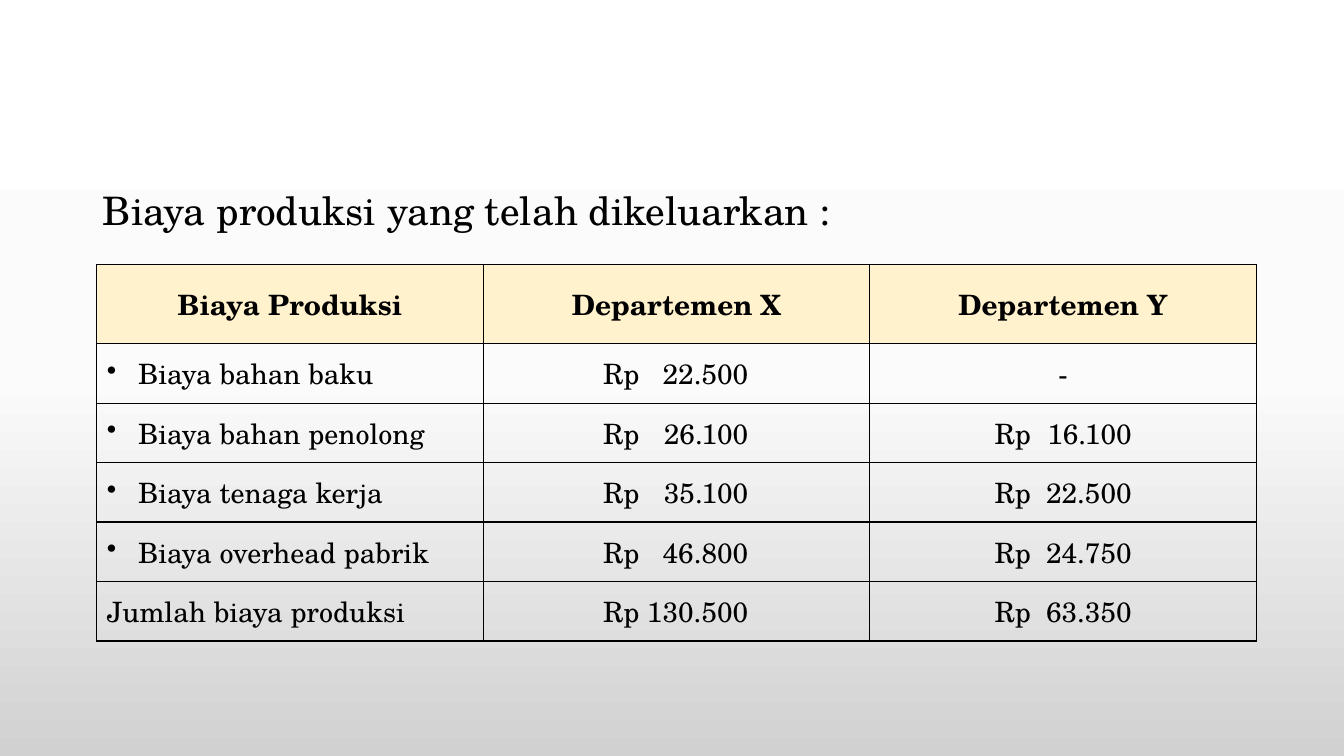
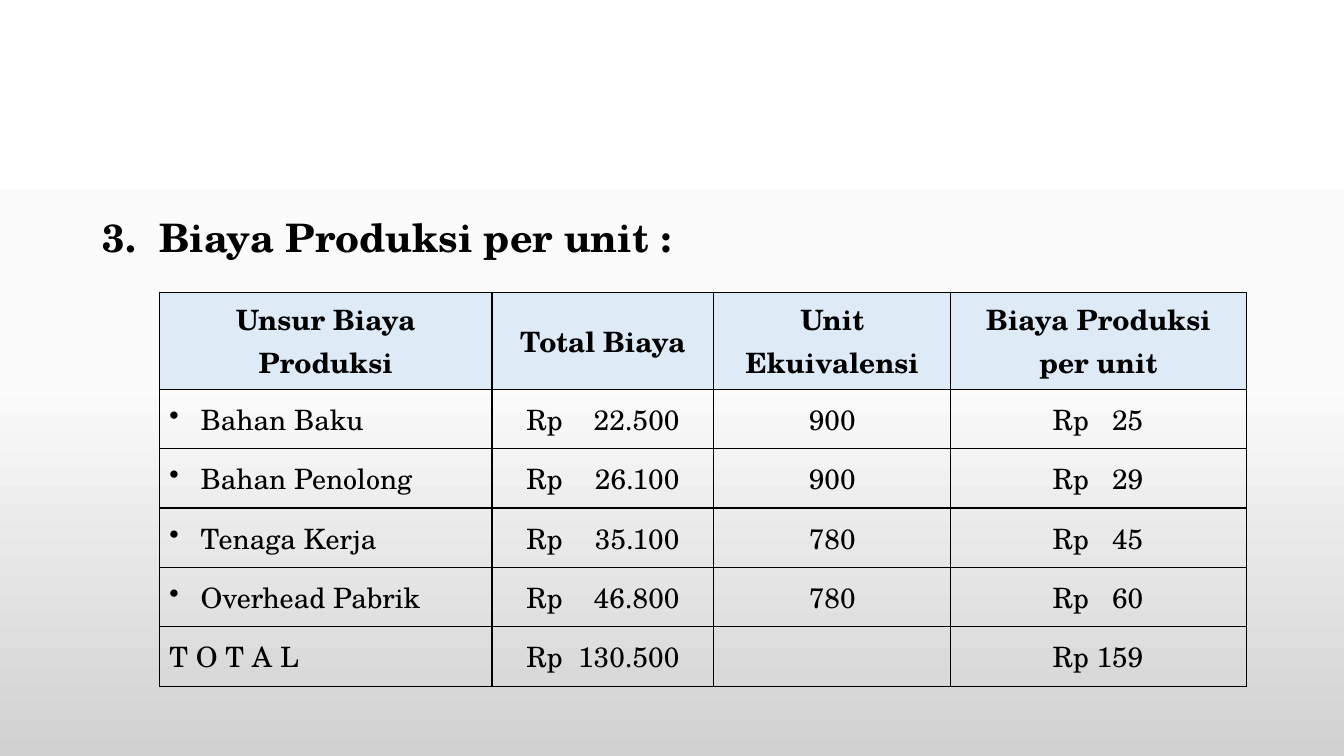
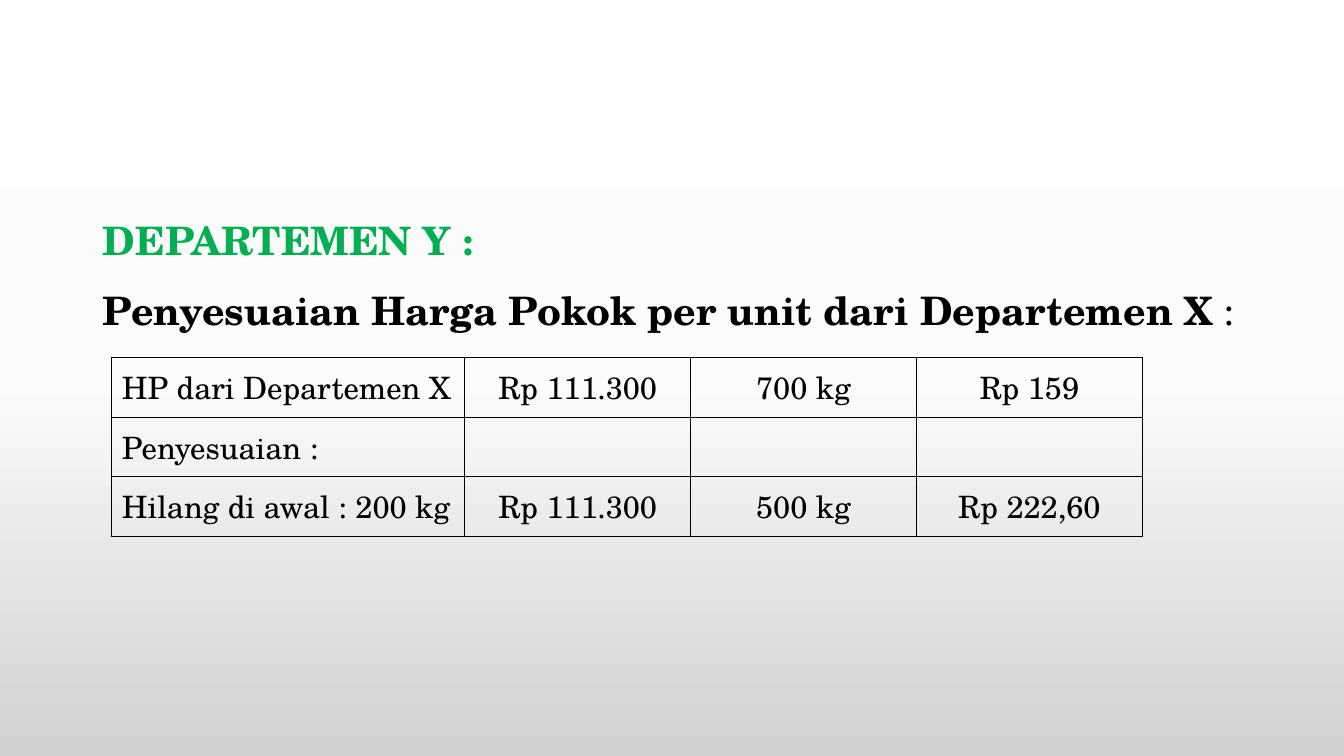
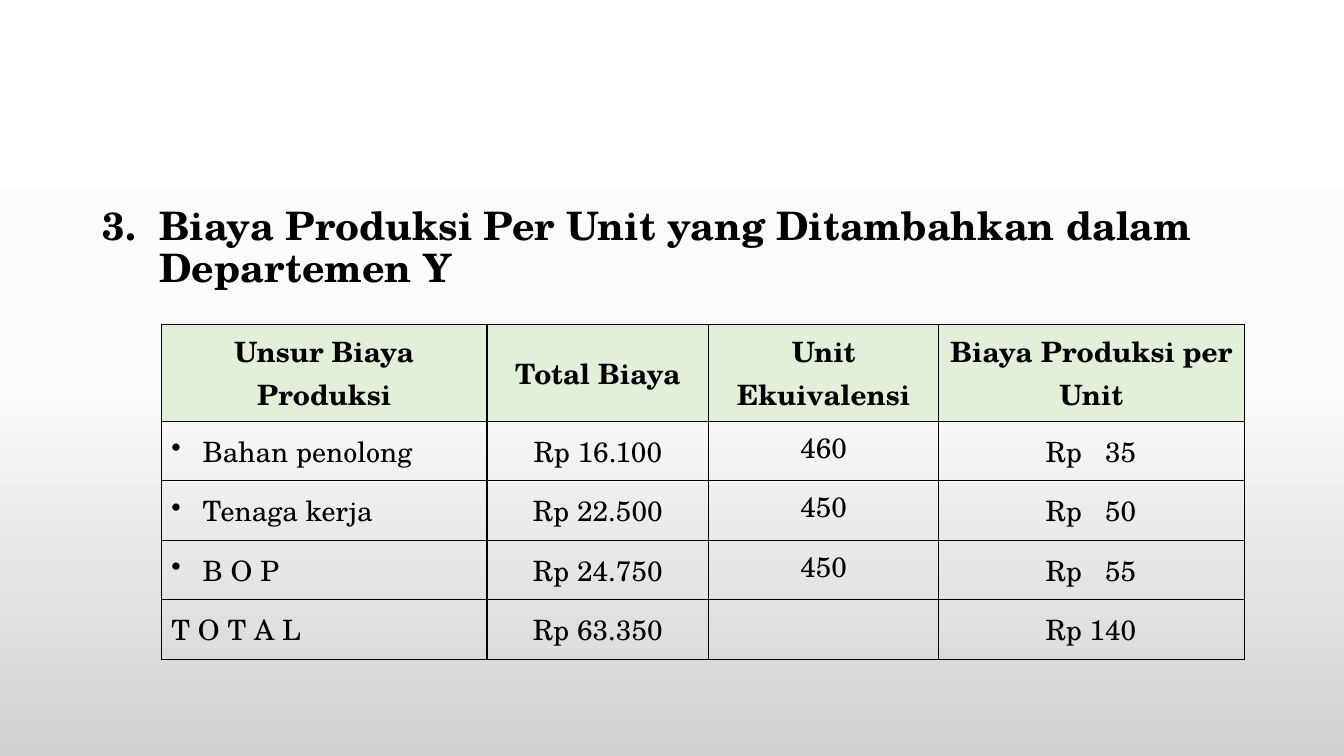
from copy import deepcopy

from pptx import Presentation
from pptx.dml.color import RGBColor
from pptx.enum import text as t
from pptx.oxml import parse_xml
from pptx.oxml.ns import nsdecls
from pptx.util import Inches, Pt

FONT = "TeX Gyre Schola"
BLACK = RGBColor(0x00, 0x00, 0x00)
GREEN = RGBColor(0x00, 0xB0, 0x50)
CREAM = RGBColor(0xFF, 0xF2, 0xCC)
PALE_BLUE = RGBColor(0xDE, 0xEB, 0xF7)
PALE_GREEN = RGBColor(0xE2, 0xF0, 0xD9)
BACKDROP = [
    (0, RGBColor(0xFF, 0xFF, 0xFF)),
    (0.5, RGBColor(0xFB, 0xFB, 0xFB)),
    (1, RGBColor(0xD1, 0xD1, 0xD1)),
]
HEADER_HEIGHT, ROW_HEIGHT = 0.79, 0.59
HEADING_LEFT, HEADING_WIDTH, HEADING_HEIGHT = 0.92, 11.5, 4.76

# heading: paragraphs of (text, colour, bold) runs; number: heading numeral
# rupiah: column -> (start of "Rp", right edge of the amount), from the column's left
# bulleted: body rows whose first cell has a bullet; top_column: cells set to the top
SLIDES = [
    {
        "heading": [[("Biaya produksi yang telah dikeluarkan :", BLACK, False)]],
        "heading_top": 1.85, "spacing": 0.9,
        "at": (0.96, 2.62), "columns": [11.5 / 3] * 3, "size": 20,
        "tint": CREAM,
        "header": ["Biaya Produksi", "Departemen X", "Departemen Y"],
        "rupiah": {1: (1.19, 2.63), 2: (1.24, 2.6)}, "bulleted": 4,
        "rows": [
            ["Biaya bahan baku", "Rp 22.500", "-"],
            ["Biaya bahan penolong", "Rp 26.100", "Rp 16.100"],
            ["Biaya tenaga kerja", "Rp 35.100", "Rp 22.500"],
            ["Biaya overhead pabrik", "Rp 46.800", "Rp 24.750"],
            ["Jumlah biaya produksi", "Rp 130.500", "Rp 63.350"],
        ],
    },
    {
        "heading": [[("Biaya Produksi per unit :", BLACK, True)]],
        "heading_top": 2.12, "spacing": 0.9, "number": 3,
        "at": (1.58, 2.9), "columns": [3.3, 2.2, 2.35, 2.93], "size": 20,
        "tint": PALE_BLUE,
        "header": ["Unsur Biaya Produksi", "Total Biaya", "Unit Ekuivalensi",
                   "Biaya Produksi per unit"],
        "rupiah": {1: (0.34, 1.86), 3: (1.01, 1.91)}, "bulleted": 4,
        "rows": [
            ["Bahan Baku", "Rp 22.500", "900", "Rp 25"],
            ["Bahan Penolong", "Rp 26.100", "900", "Rp 29"],
            ["Tenaga Kerja", "Rp 35.100", "780", "Rp 45"],
            ["Overhead Pabrik", "Rp 46.800", "780", "Rp 60"],
            ["T O T A L", "Rp 130.500", "", "Rp 159"],
        ],
    },
    {
        "heading": [
            [("DEPARTEMEN Y :", GREEN, True)],
            [("Penyesuaian Harga Pokok per unit dari Departemen X", BLACK, True),
             (" :", BLACK, False)],
        ],
        "heading_top": 2, "spacing": 1.2,
        "at": (1.11, 3.55), "columns": [3.5] + [2.24] * 3, "size": 22,
        "rows": [
            ["HP dari Departemen X", "Rp 111.300", "700 kg", "Rp 159"],
            ["Penyesuaian :", "", "", ""],
            ["Hilang di awal : 200 kg", "Rp 111.300", "500 kg", "Rp 222,60"],
        ],
    },
    {
        "heading": [[("Biaya Produksi Per Unit yang Ditambahkan dalam Departemen Y",
                      BLACK, True)]],
        "heading_top": 2, "spacing": 0.9, "number": 3,
        "at": (1.6, 3.22), "columns": [3.23, 2.2, 2.28, 3.03], "size": 20,
        "tint": PALE_GREEN,
        "header": ["Unsur Biaya Produksi", "Total Biaya", "Unit Ekuivalensi",
                   "Biaya Produksi per Unit"],
        "rupiah": {3: (1.06, 1.96)}, "bulleted": 3, "top_column": 2,
        "rows": [
            ["Bahan penolong", "Rp 16.100", "460", "Rp 35"],
            ["Tenaga kerja", "Rp 22.500", "450", "Rp 50"],
            ["B O P", "Rp 24.750", "450", "Rp 55"],
            ["T O T A L", "Rp 63.350", "", "Rp 140"],
        ],
    },
]


def element(tag, attributes="", inner=""):
    return parse_xml(f'<a:{tag} {nsdecls("a")} {attributes}>{inner}</a:{tag}>')


def hang(paragraph, indent, marker):
    """Give the paragraph a hanging indent that starts with the marker."""
    properties = paragraph._p.get_or_add_pPr()
    properties.set("marL", str(Inches(indent)))
    properties.set("indent", str(-Inches(indent)))
    properties.append(marker)


def style(font, size, colour, bold):
    font.name, font.size, font.bold = FONT, Pt(size), bold
    font.color.rgb = colour


def paint_backdrop(master):
    fill = master.background.fill
    fill.gradient()
    fill.gradient_angle = 270
    stops = master.element.xpath("./p:cSld/p:bg//a:gsLst")[0]
    stops.append(deepcopy(stops[-1]))
    for stop, (position, colour) in zip(fill.gradient_stops, BACKDROP):
        stop.position, stop.color.rgb = position, colour


def add_heading(slide, content):
    title = slide.shapes.title
    title.left, title.top = Inches(HEADING_LEFT), Inches(content["heading_top"])
    title.width, title.height = Inches(HEADING_WIDTH), Inches(HEADING_HEIGHT)
    frame = title.text_frame
    frame.auto_size = t.MSO_AUTO_SIZE.NONE
    frame.vertical_anchor = t.MSO_ANCHOR.TOP
    for index, runs in enumerate(content["heading"]):
        paragraph = frame.add_paragraph() if index else frame.paragraphs[0]
        paragraph.alignment = t.PP_ALIGN.LEFT
        paragraph.line_spacing = content["spacing"]
        paragraph.space_before = Pt(10 if index else 0)
        if "number" in content:
            hang(paragraph, 0.56, element(
                "buAutoNum", f'type="arabicPeriod" startAt="{content["number"]}"'))
        for words, colour, bold in runs:
            run = paragraph.add_run()
            run.text = words
            style(run.font, 28, colour, bold)


def outline(cell):
    properties = cell._tc.get_or_add_tcPr()
    line = f'<a:solidFill><a:srgbClr val="{BLACK}"/></a:solidFill>'
    for index, side in enumerate("LRTB"):
        properties.insert(index, element(f"ln{side}", f'w="{Pt(1)}"', line))


def fill_cell(cell, words, column, content, is_header, bulleted):
    cell.vertical_anchor = t.MSO_ANCHOR.MIDDLE
    if is_header:
        cell.fill.solid()
        cell.fill.fore_color.rgb = content["tint"]
    else:
        cell.fill.background()
        if column == content.get("top_column"):
            cell.vertical_anchor = t.MSO_ANCHOR.TOP
    outline(cell)

    paragraph = cell.text_frame.paragraphs[0]
    left_aligned = column == 0 and not is_header
    paragraph.alignment = t.PP_ALIGN.LEFT if left_aligned else t.PP_ALIGN.CENTER
    if bulleted:
        hang(paragraph, 0.31, element("buChar", 'char="•"'))
    if words.startswith("Rp ") and column in content.get("rupiah", {}):
        start, end = content["rupiah"][column]
        words = words.replace(" ", "\t")
        cell.margin_left = Inches(start)
        paragraph.alignment = t.PP_ALIGN.LEFT
        paragraph._p.get_or_add_pPr().append(element(
            "tabLst", inner=f'<a:tab pos="{Inches(end - start)}" algn="r"/>'))
    if words:
        paragraph.add_run().text = words
    style(paragraph.font, content["size"], BLACK, is_header)


def add_cost_table(slide, content):
    has_header = "header" in content
    rows = ([content["header"]] if has_header else []) + content["rows"]
    heights = [HEADER_HEIGHT if has_header and not i else ROW_HEIGHT
               for i in range(len(rows))]
    widths = content["columns"]
    left, top = content["at"]
    table = slide.shapes.add_table(
        len(rows), len(widths), Inches(left), Inches(top),
        Inches(sum(widths)), Inches(sum(heights))).table
    table.first_row = table.horz_banding = False
    for column, width in zip(table.columns, widths):
        column.width = Inches(width)
    for r, (cells, height) in enumerate(zip(rows, heights)):
        table.rows[r].height = Inches(height)
        is_header = has_header and r == 0
        for c, words in enumerate(cells):
            bulleted = c == 0 and not is_header and r <= content.get("bulleted", -1)
            fill_cell(table.cell(r, c), words, c, content, is_header, bulleted)


def main():
    prs = Presentation()
    prs.slide_width, prs.slide_height = Inches(13.33), Inches(7.5)
    paint_backdrop(prs.slide_master)
    title_only = prs.slide_layouts[5]
    for content in SLIDES:
        slide = prs.slides.add_slide(title_only)
        add_heading(slide, content)
        add_cost_table(slide, content)
    prs.save("out.pptx")


if __name__ == "__main__":
    main()
